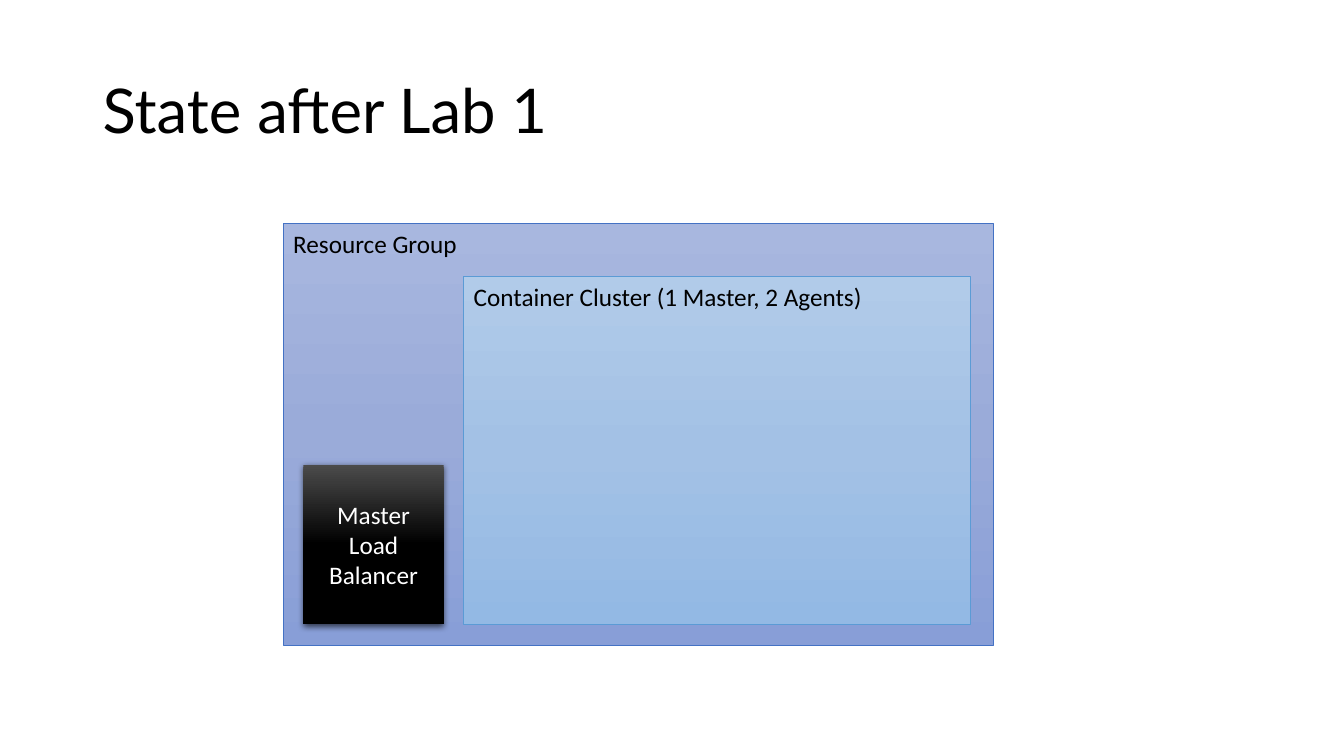
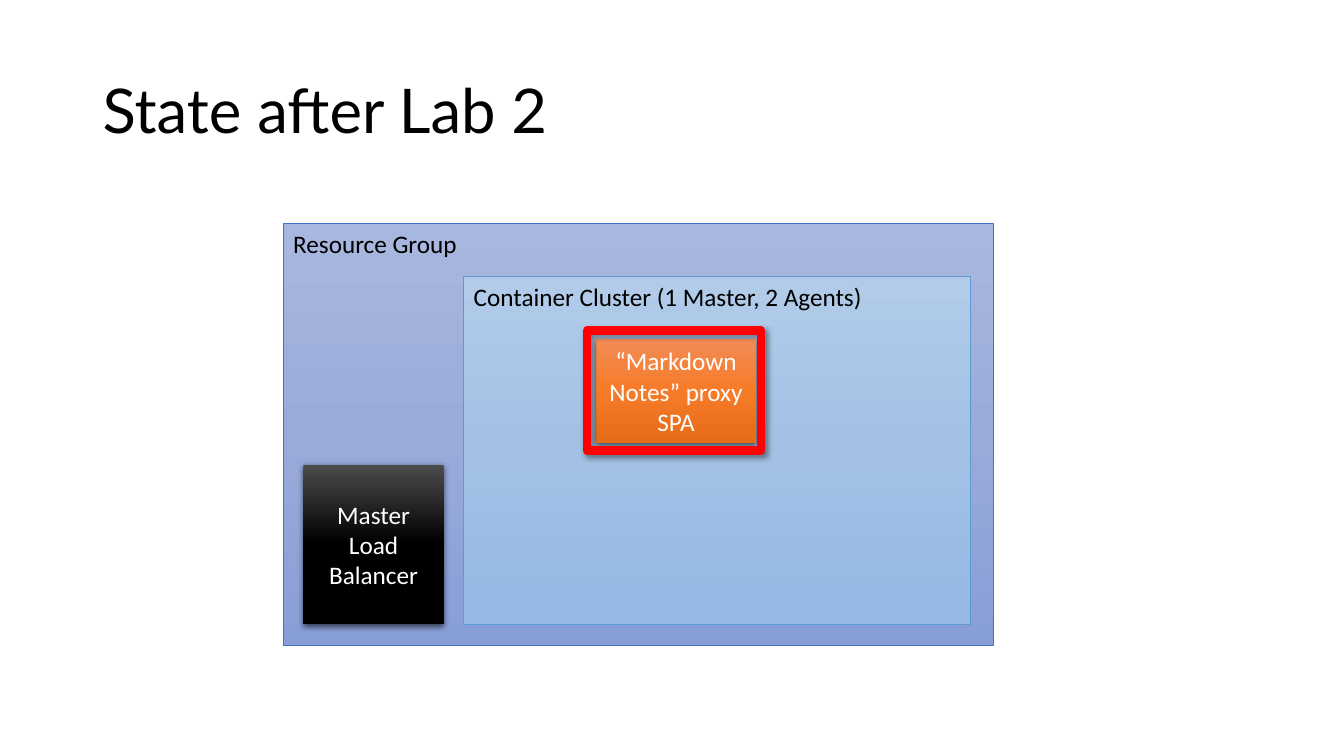
from dataclasses import dataclass
from typing import NamedTuple

from lxml import etree
from pptx import Presentation
from pptx.dml import color
from pptx.enum import shapes, text
from pptx.oxml import ns
from pptx.util import Inches, Pt


class Box(NamedTuple):
    """A rectangle in inches."""
    left: float
    top: float
    width: float
    height: float

    def inner(self, left, top, width, height):
        """Return a box whose corner is measured from this one."""
        return Box(round(self.left + left, 2), round(self.top + top, 2), width, height)

    def lengths(self):
        """Return the four sides as lengths."""
        return [Inches(side) for side in self]


class Shadow(NamedTuple):
    """A black outer shadow: percent, points, points and degrees."""
    opacity: int
    blur: float
    distance: float
    angle: int


@dataclass(frozen=True)
class Theme:
    """Colours, fonts and type sizes shared by the slides."""
    title_font: str = "Lato"
    body_font: str = "Calibri"
    title_size: int = 44
    body_size: int = 18
    dark: str = "000000"
    light: str = "FFFFFF"
    group_fill: tuple = ("A8B7DF", "9AABD9", "889ED7")
    group_line: str = "4472C4"
    cluster_fill: tuple = ("B1CBE9", "A3C1E5", "93B9E4")
    cluster_line: str = "5B9BD5"
    balancer_fill: tuple = ("4B4B4B", "000000", "000000")
    app_fill: tuple = ("F18C57", "F67B28", "E56C19")
    highlight: str = "FF0000"
    block_shadow: Shadow = Shadow(63, 4.5, 1.5, 90)
    highlight_shadow: Shadow = Shadow(40, 4, 3, 45)


THEME = Theme()
TITLE_BOX = Box(0.92, 0.4, 11.5, 1.45)
DIAGRAM_BOX = Box(2.81, 2.22, 7.04, 4.18)


def rgb(value):
    """Turn a hex string into a colour."""
    return color.RGBColor.from_string(value)


def write(shape, *lines, font=THEME.body_font, size=THEME.body_size, ink=THEME.dark,
          align=text.PP_ALIGN.LEFT, anchor=text.MSO_ANCHOR.TOP, spacing=1.0):
    """Write one paragraph per line into a shape."""
    frame = shape.text_frame
    frame.word_wrap = True
    frame.vertical_anchor = anchor
    frame.text = "\n".join(lines)
    for paragraph in frame.paragraphs:
        paragraph.alignment = align
        paragraph.line_spacing = spacing
        paragraph.font.name = font
        paragraph.font.size = Pt(size)
        paragraph.font.color.rgb = rgb(ink)


def add_colour(parent, value):
    """Add a colour element to an XML parent."""
    return etree.SubElement(parent, ns.qn("a:srgbClr"), val=value)


def fill_gradient(shape, colours):
    """Fill a shape from top to bottom with evenly spaced colours."""
    shape.fill.gradient()
    shape.fill.gradient_angle = 270
    stops = shape._element.spPr.find(".//" + ns.qn("a:gsLst"))
    stops[:] = []
    for index, value in enumerate(colours):
        position = 100000 * index // (len(colours) - 1)
        add_colour(etree.SubElement(stops, ns.qn("a:gs"), pos=str(position)), value)


def cast_shadow(shape, shadow):
    """Give a shape an outer shadow."""
    effects = shape._element.spPr.find(ns.qn("a:effectLst"))
    outer = etree.SubElement(
        effects, ns.qn("a:outerShdw"), blurRad=str(Pt(shadow.blur)),
        dist=str(Pt(shadow.distance)), dir=str(shadow.angle * 60000), rotWithShape="0")
    tint = add_colour(outer, THEME.dark)
    etree.SubElement(tint, ns.qn("a:alpha"), val=str(shadow.opacity * 1000))


def add_rectangle(slide, box, fill=None, line=None, line_width=0.5, shadow=None):
    """Add a rectangle with an optional gradient, outline and shadow."""
    shape = slide.shapes.add_shape(shapes.MSO_SHAPE.RECTANGLE, *box.lengths())
    shape.shadow.inherit = False
    if fill:
        fill_gradient(shape, fill)
    else:
        shape.fill.background()
    if line:
        shape.line.color.rgb = rgb(line)
        shape.line.width = Pt(line_width)
    else:
        shape.line.fill.background()
    if shadow:
        cast_shadow(shape, shadow)
    return shape


def add_title(slide, box, title):
    """Add the slide title."""
    write(slide.shapes.add_textbox(*box.lengths()), title, font=THEME.title_font,
          size=THEME.title_size, anchor=text.MSO_ANCHOR.MIDDLE, spacing=0.9)


def add_container(slide, box, label, fill, line):
    """Add a labelled area that holds other blocks."""
    write(add_rectangle(slide, box, fill, line), label)


def add_block(slide, box, lines, fill):
    """Add a raised block with centred text."""
    shape = add_rectangle(slide, box, fill, shadow=THEME.block_shadow)
    write(shape, *lines, ink=THEME.light, align=text.PP_ALIGN.CENTER,
          anchor=text.MSO_ANCHOR.MIDDLE)


def add_highlighted_app(slide, box, label):
    """Add an application block inside a highlight frame."""
    add_block(slide, box, [label], THEME.app_fill)
    add_rectangle(slide, box.inner(-0.09, -0.08, 1.73, 1.19), line=THEME.highlight,
                  line_width=6, shadow=THEME.highlight_shadow)


def add_diagram(slide, box, app=None):
    """Add the resource group, its cluster and, if named, a new app."""
    cluster = box.inner(1.79, 0.52, 5.02, 3.45)
    add_container(slide, box, "Resource Group", THEME.group_fill, THEME.group_line)
    add_container(slide, cluster, "Container Cluster (1 Master, 2 Agents)",
                  THEME.cluster_fill, THEME.cluster_line)
    add_block(slide, box.inner(0.2, 2.39, 1.39, 1.58), ["Master", "Load Balancer"],
              THEME.balancer_fill)
    if app:
        add_highlighted_app(slide, cluster.inner(1.31, 0.62, 1.59, 1.04), app)


def add_state_slide(presentation, title, app=None):
    """Add a slide that shows the state after a lab."""
    slide = presentation.slides.add_slide(presentation.slide_layouts[6])
    add_title(slide, TITLE_BOX, title)
    add_diagram(slide, DIAGRAM_BOX, app)


def main():
    """Build and save the presentation."""
    presentation = Presentation()
    presentation.slide_width = Inches(13.33)
    presentation.slide_height = Inches(7.5)
    add_state_slide(presentation, "State after Lab 1")
    add_state_slide(presentation, "State after Lab 2", app="“Markdown Notes” proxy SPA")
    presentation.save("out.pptx")


main()
